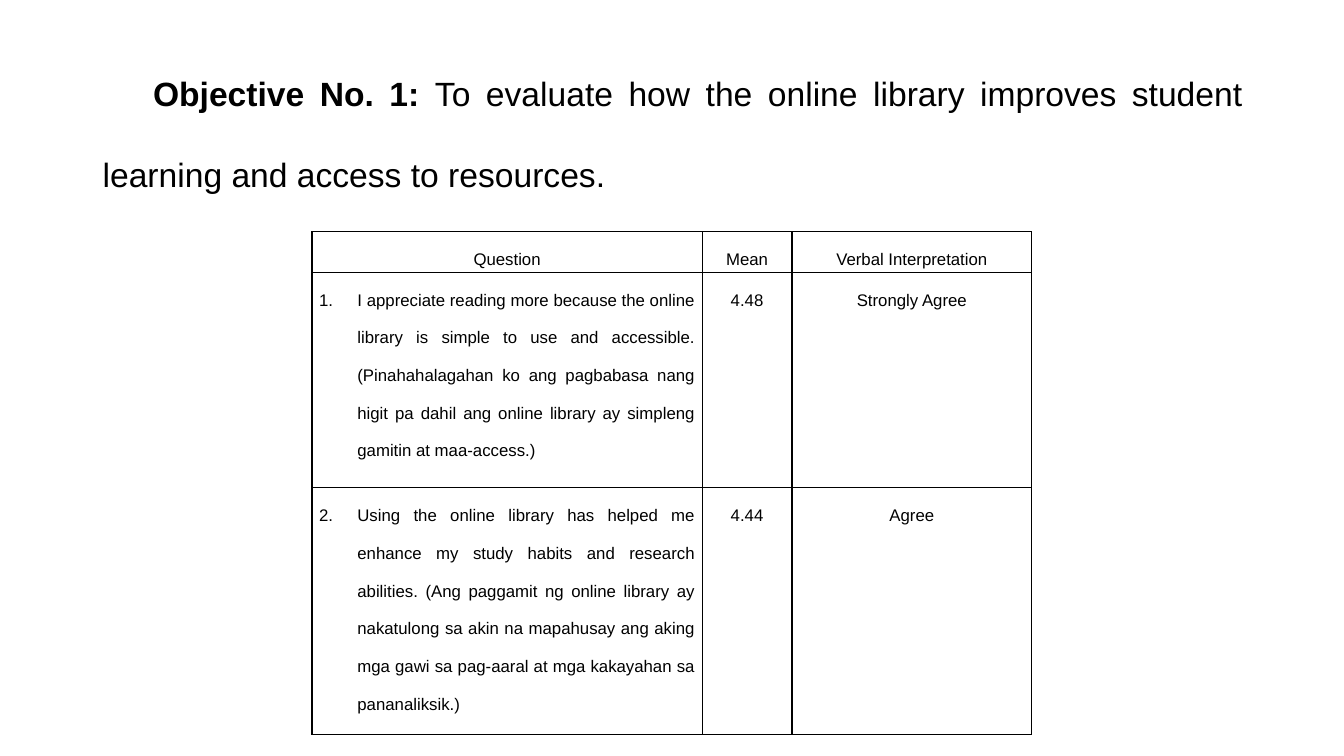
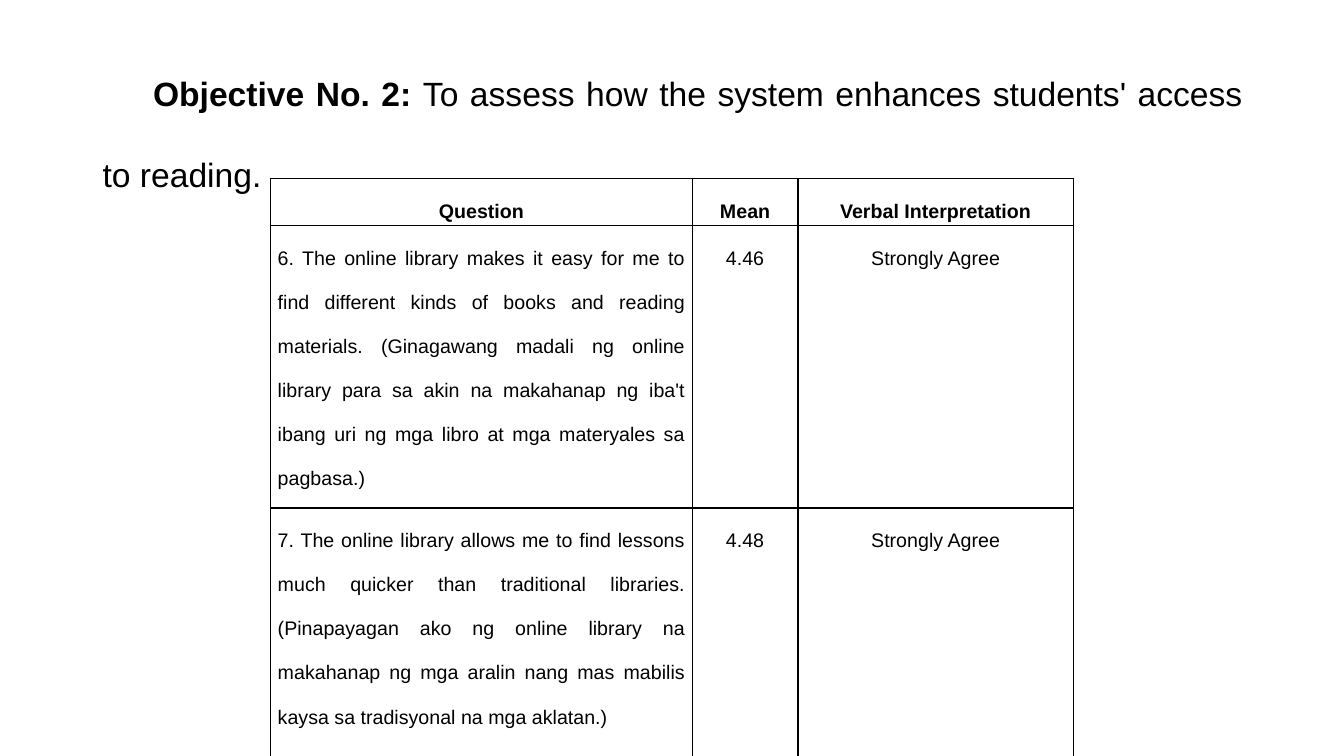
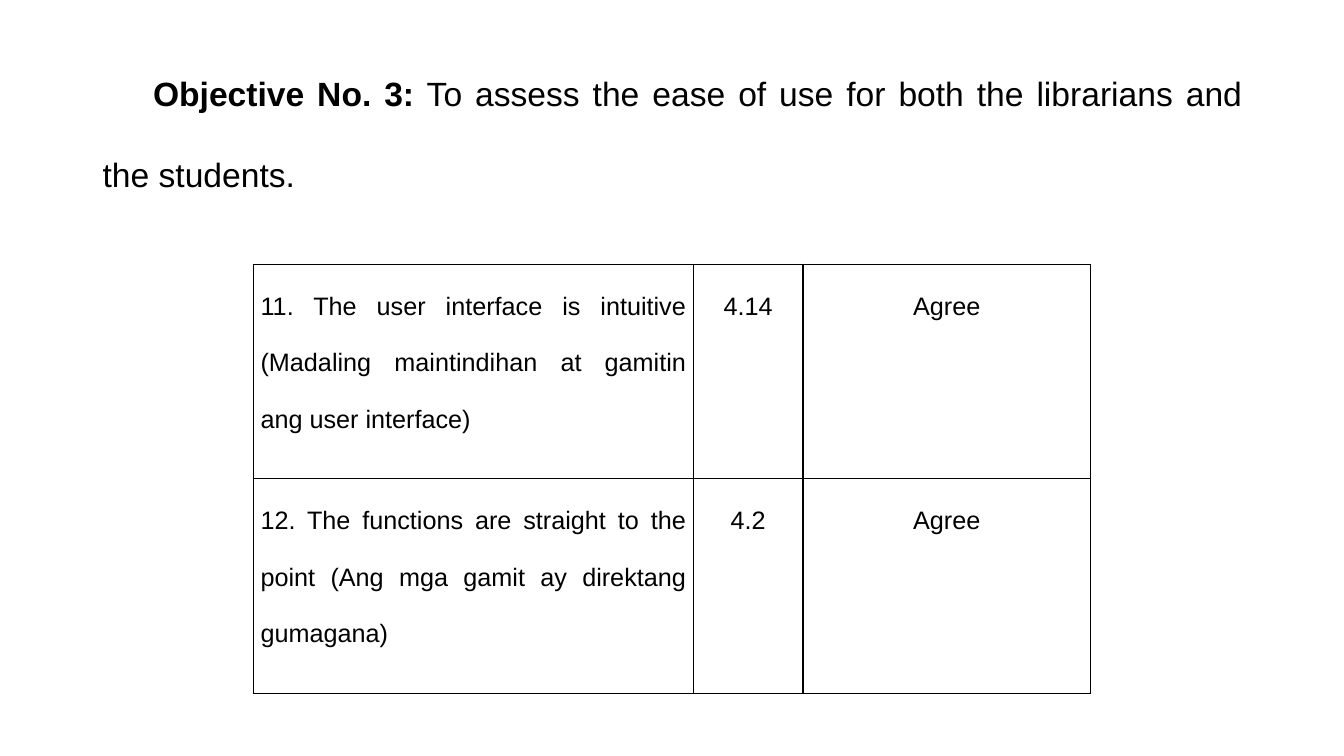
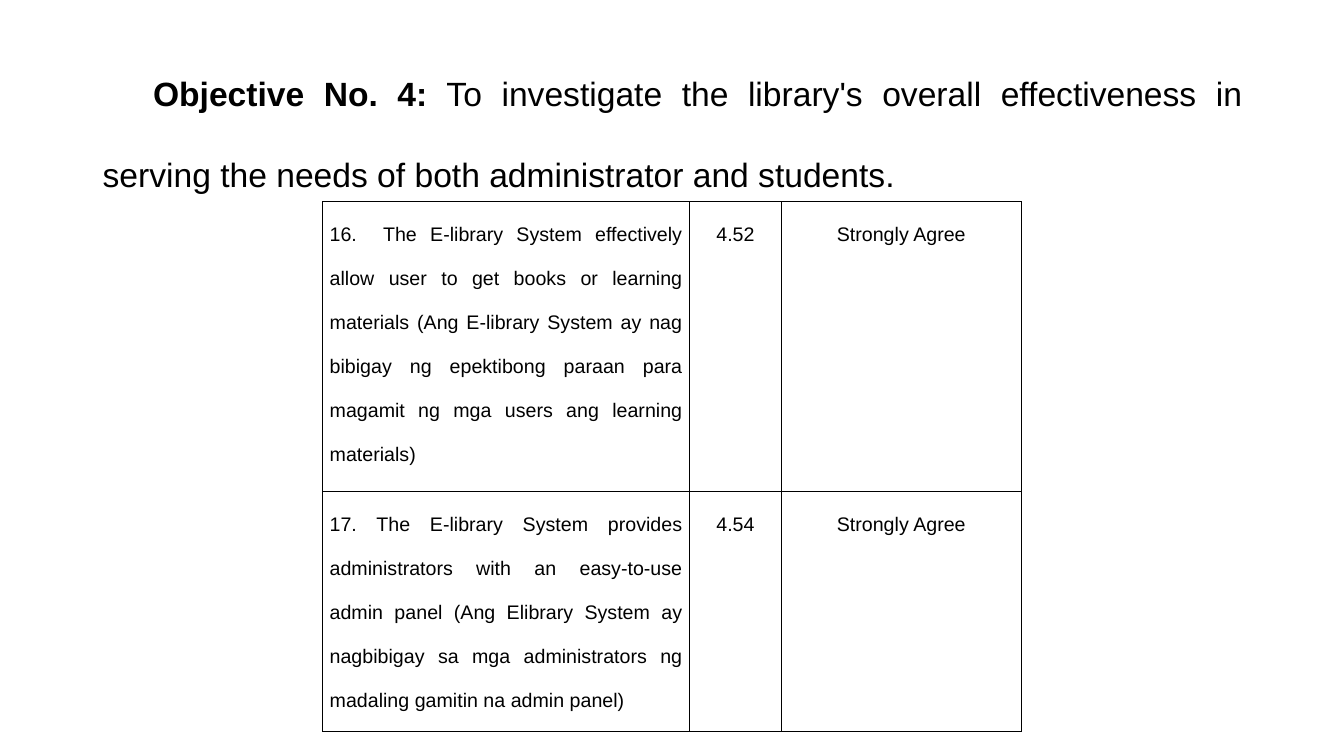
import pptx
import pptx.util
import pptx.dml.color
import pptx.enum.text
import pptx.oxml.ns
import lxml.etree

# Shared style
COLOURS = {"text": "000000", "border": "000000", "background": "FFFFFF"}
FONT = "Arial"
SLIDE_WIDTH, SLIDE_HEIGHT = 13.33, 7.5
TITLE_BOX = (0.92, 0.4, 11.5, 1.45)
TITLE_SIZE = 24
TITLE_INDENT = 0.5
LINE_SPACING = 2
CELL_MARGIN = 0.07
NUMBER_INDENT = 0.38
BORDER_WIDTH = 1
ALIGN = pptx.enum.text.PP_ALIGN
HEADER = ("Question", "Mean", "Verbal Interpretation")

# Content: a question starts with its number; "numbered" makes it a list number
SLIDES = [
    {
        "title": ("Objective No. 1: ",
                  "To evaluate how the online library improves student learning "
                  "and access to resources."),
        "top": 2.3, "size": 12, "columns": (3.87, 0.89, 2.38),
        "heights": (0.26, 2.14, 2.45), "header": True, "header_bold": False,
        "numbered": True, "space_after": 10,
        "rows": [
            ("I appreciate reading more because the online library is simple to use "
             "and accessible. (Pinahahalagahan ko ang pagbabasa nang higit pa dahil "
             "ang online library ay simpleng gamitin at maa-access.)",
             "4.48", "Strongly Agree"),
            ("Using the online library has helped me enhance my study habits and "
             "research abilities. (Ang paggamit ng online library ay nakatulong sa "
             "akin na mapahusay ang aking mga gawi sa pag-aaral at mga kakayahan sa "
             "pananaliksik.)",
             "4.44", "Agree"),
        ],
    },
    {
        "title": ("Objective No. 2: ",
                  "To assess how the system enhances students' access to reading."),
        "top": 1.77, "size": 14, "columns": (4.18, 1.05, 2.73),
        "heights": (0.38, 2.63, 2.49), "header": True, "header_bold": True,
        "numbered": False, "space_after": 10,
        "rows": [
            ("6. The online library makes it easy for me to find different kinds of "
             "books and reading materials. (Ginagawang madali ng online library para "
             "sa akin na makahanap ng iba't ibang uri ng mga libro at mga materyales "
             "sa pagbasa.)",
             "4.46", "Strongly Agree"),
            ("7. The online library allows me to find lessons much quicker than "
             "traditional libraries. (Pinapayagan ako ng online library na makahanap "
             "ng mga aralin nang mas mabilis kaysa sa tradisyonal na mga aklatan.)",
             "4.48", "Strongly Agree"),
        ],
    },
    {
        "title": ("Objective No. 3:",
                  " To assess the ease of use for both the librarians and the students."),
        "top": 2.62, "size": 18, "columns": (4.36, 1.09, 2.85),
        "heights": (2.13, 2.13), "header": False, "header_bold": False,
        "numbered": False, "space_after": 0,
        "rows": [
            ("11. The user interface is intuitive (Madaling maintindihan at gamitin "
             "ang user interface) ",
             "4.14", "Agree"),
            ("12. The functions are straight to the point (Ang mga gamit ay direktang "
             "gumagana)",
             "4.2", "Agree"),
        ],
    },
    {
        "title": ("Objective No. 4:",
                  " To investigate the library's overall effectiveness in serving the "
                  "needs of both administrator and students."),
        "top": 2, "size": 14, "columns": (3.64, 0.91, 2.38),
        "heights": (2.88, 2.38), "header": False, "header_bold": False,
        "numbered": False, "space_after": 0,
        "rows": [
            ("16.  The E-library System effectively allow user to get books or "
             "learning materials (Ang E-library System ay nag bibigay ng epektibong "
             "paraan para magamit ng mga users ang learning materials)",
             "4.52", "Strongly Agree"),
            ("17. The E-library System provides administrators with an easy-to-use "
             "admin panel (Ang Elibrary System ay nagbibigay sa mga administrators ng "
             "madaling gamitin na admin panel)",
             "4.54", "Strongly Agree"),
        ],
    },
]


def inches(*lengths):
    return [pptx.util.Inches(length) for length in lengths]


def colour(name):
    return pptx.dml.color.RGBColor.from_string(COLOURS[name])


def add_child(parent, tag, **attributes):
    child = lxml.etree.SubElement(parent, pptx.oxml.ns.qn(tag))
    for name, value in attributes.items():
        child.set(name, str(value))
    return child


def add_run(paragraph, text, size, bold=False):
    run = paragraph.add_run()
    run.text = text
    run.font.name = FONT
    run.font.size = pptx.util.Pt(size)
    run.font.bold = bold
    run.font.color.rgb = colour("text")


def set_indent(paragraph, left, first_line):
    properties = paragraph._p.get_or_add_pPr()
    properties.set("marL", str(int(pptx.util.Inches(left))))
    properties.set("indent", str(int(pptx.util.Inches(first_line))))
    return properties


def add_title(slide, parts):
    frame = slide.shapes.add_textbox(*inches(*TITLE_BOX)).text_frame
    frame.word_wrap = True
    frame.vertical_anchor = pptx.enum.text.MSO_ANCHOR.MIDDLE
    paragraph = frame.paragraphs[0]
    paragraph.alignment = ALIGN.JUSTIFY
    paragraph.line_spacing = LINE_SPACING
    set_indent(paragraph, 0, TITLE_INDENT)
    label, objective = parts
    add_run(paragraph, label, TITLE_SIZE, bold=True)
    add_run(paragraph, objective, TITLE_SIZE)


def style_cell(cell):
    cell.margin_left = cell.margin_right = pptx.util.Inches(CELL_MARGIN)
    cell.margin_top = cell.margin_bottom = 0
    properties = cell._tc.get_or_add_tcPr()
    for side in ("a:lnL", "a:lnR", "a:lnT", "a:lnB"):
        line = add_child(properties, side, w=int(pptx.util.Pt(BORDER_WIDTH)))
        fill = add_child(line, "a:solidFill")
        add_child(fill, "a:srgbClr", val=COLOURS["border"])
    cell.fill.background()


def add_ratings(slide, content):
    rows = [HEADER] * content["header"] + content["rows"]
    columns, heights = content["columns"], content["heights"]
    width = sum(columns)
    # Every table is centred on the slide
    table = slide.shapes.add_table(
        len(rows), len(columns),
        *inches((SLIDE_WIDTH - width) / 2, content["top"], width, sum(heights))).table
    table.first_row = table.horz_banding = False
    for column, length in zip(table.columns, inches(*columns)):
        column.width = length
    for row, length in zip(table.rows, inches(*heights)):
        row.height = length

    for row_index, texts in enumerate(rows):
        is_header = content["header"] and row_index == 0
        for column_index, text in enumerate(texts):
            cell = table.cell(row_index, column_index)
            style_cell(cell)
            is_question = column_index == 0 and not is_header
            paragraph = cell.text_frame.paragraphs[0]
            paragraph.alignment = ALIGN.JUSTIFY if is_question else ALIGN.CENTER
            paragraph.line_spacing = LINE_SPACING
            if is_question:
                paragraph.space_after = pptx.util.Pt(content["space_after"])
                if content["numbered"]:
                    properties = set_indent(paragraph, NUMBER_INDENT, -NUMBER_INDENT)
                    add_child(properties, "a:buFont", typeface=FONT)
                    add_child(properties, "a:buAutoNum", type="arabicPeriod",
                              startAt=row_index)
            add_run(paragraph, text, content["size"],
                    bold=is_header and content["header_bold"])


def main():
    presentation = pptx.Presentation()
    presentation.slide_width, presentation.slide_height = inches(SLIDE_WIDTH, SLIDE_HEIGHT)
    background = presentation.slide_master.background.fill
    background.solid()
    background.fore_color.rgb = colour("background")
    blank = presentation.slide_layouts[6]
    for content in SLIDES:
        slide = presentation.slides.add_slide(blank)
        add_title(slide, content["title"])
        add_ratings(slide, content)
    presentation.save("out.pptx")


if __name__ == "__main__":
    main()
